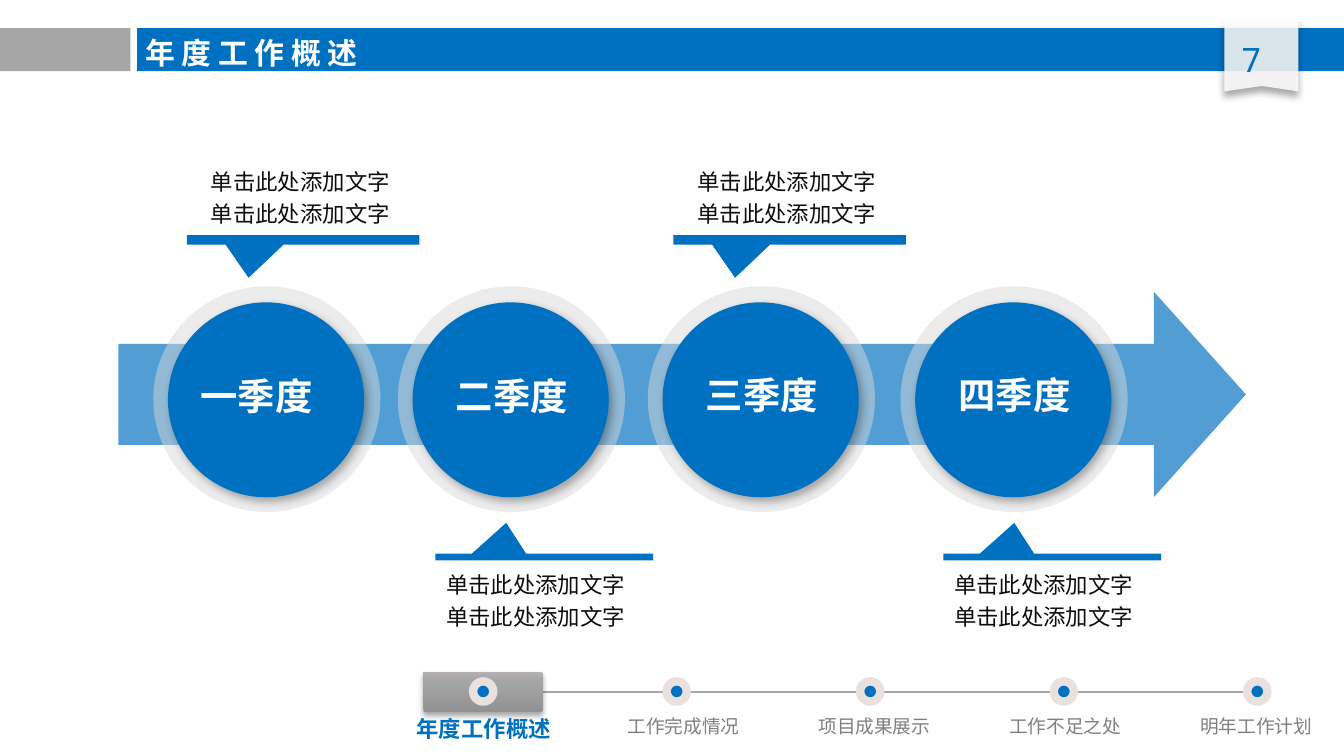
"""Build the annual work overview slide with a quarterly timeline."""
from copy import deepcopy
from typing import NamedTuple, Optional

from lxml import etree
from pptx import Presentation
from pptx import util as u
from pptx.dml.color import RGBColor
from pptx.enum import shapes, text
from pptx.oxml import ns

BLUE = RGBColor(0x00, 0x70, 0xC0)
WHITE = RGBColor(0xFF, 0xFF, 0xFF)
INK = RGBColor(0x0D, 0x0D, 0x0D)
GRAY = RGBColor(0xA6, 0xA6, 0xA6)
LABEL_GRAY = RGBColor(0x80, 0x80, 0x80)
RING_GRAY = RGBColor(0xD8, 0xD8, 0xD8)
FOLD_GRAY = RGBColor(0xF8, 0xF8, 0xF8)
NODE_EDGE = RGBColor(0xEA, 0xE0, 0xDE)
TAB_STOPS = [(0, RGBColor(0x93, 0x92, 0x92)), (0.8, RGBColor(0xA6, 0xA6, 0xA7)),
             (1, RGBColor(0xB6, 0xB0, 0xB2))]
CJK = "Noto Sans CJK SC"
SHAPE = shapes.MSO_SHAPE


class Box(NamedTuple):
    left: float
    top: float
    width: float
    height: float


class Shadow(NamedTuple):
    alpha: int
    blur: float
    dist: float
    angle: int


class Quarter(NamedTuple):
    name: str
    left: float
    label_left: float
    label_top: float


class Callout(NamedTuple):
    bar: Box
    tip: tuple
    text_left: float
    text_top: float


RIBBON_SHADOW = Shadow(40, 4, 3, 90)
TAB_SHADOW = Shadow(35, 3.1, 1.8, 90)
DISK_SHADOW = Shadow(30, 4.5, 2.6, 53)

QUARTERS = [
    Quarter("二季度", 2.96, 2.88, 2.73),
    Quarter("三季度", 4.82, 4.74, 2.72),
    Quarter("四季度", 6.7, 6.62, 2.72),
    Quarter("一季度", 1.14, 0.98, 2.73),
]
UP_TIP, DOWN_TIP = (-0.175, -5.095), (-0.234, 4.033)
CALLOUTS = [Callout(Box(x, 1.75, 1.73, 0.07), DOWN_TIP, x + 0.08, 1.16) for x in (1.39, 5.01)]
CALLOUTS += [Callout(Box(x, 4.12, 1.62, 0.05), UP_TIP, x - 0.02, 4.16) for x in (3.24, 7.02)]
SECTIONS = ["工作完成情况", "项目成果展示", "工作不足之处", "明年工作计划"]


def inches(box: Box) -> list:
    """Convert a box to lengths."""
    return [u.Inches(v) for v in box]


def style(sp, color: RGBColor, alpha: Optional[int] = None, shadow: Optional[Shadow] = None) -> None:
    """Give a shape its solid fill, transparency and shadow, without outline."""
    sp.shadow.inherit = False
    sp.line.fill.background()
    sp.fill.solid()
    sp.fill.fore_color.rgb = color
    if alpha is not None:
        clr = sp.element.spPr.find(ns.qn("a:solidFill"))[0]
        etree.SubElement(clr, ns.qn("a:alpha"), val=str(alpha * 1000))
    if shadow:
        effects = sp.element.spPr.find(ns.qn("a:effectLst"))
        outer = etree.SubElement(
            effects, ns.qn("a:outerShdw"), blurRad=str(int(u.Pt(shadow.blur))),
            dist=str(int(u.Pt(shadow.dist))), dir=str(shadow.angle * 60000),
            algn="ctr", rotWithShape="0")
        clr = etree.SubElement(outer, ns.qn("a:srgbClr"), val="000000")
        etree.SubElement(clr, ns.qn("a:alpha"), val=str(shadow.alpha * 1000))


def add_shape(parent, kind, box: Box, color: RGBColor, adj: tuple = (), **look):
    """Add a styled preset shape."""
    sp = parent.add_shape(kind, *inches(box))
    for i, value in enumerate(adj):
        sp.adjustments[i] = value
    style(sp, color, **look)
    return sp


def write(tf, lines: list, *, size: float, color: RGBColor, font: str = CJK, bold: bool = False,
          align=text.PP_ALIGN.CENTER, spacing: Optional[float] = None, wrap: bool = True,
          inset: tuple = (0.1, 0.05)) -> None:
    """Fill a text frame with formatted paragraphs."""
    tf.word_wrap = wrap
    tf.auto_size = text.MSO_AUTO_SIZE.NONE
    tf.vertical_anchor = text.MSO_ANCHOR.TOP
    tf.margin_left = tf.margin_right = u.Inches(inset[0])
    tf.margin_top = tf.margin_bottom = u.Inches(inset[1])
    for i, line in enumerate(lines):
        p = tf.add_paragraph() if i else tf.paragraphs[0]
        p.alignment = align
        p.space_before = u.Pt(0)
        p.line_spacing = spacing or 1.0
        r = p.add_run()
        r.text = line
        r.font.size, r.font.bold, r.font.name = u.Pt(size), bold, font
        r.font.color.rgb = color
        etree.SubElement(r.font._element, ns.qn("a:ea"), typeface=CJK)


def add_text(parent, box: Box, lines: list, **fmt) -> None:
    """Add a formatted text box."""
    write(parent.add_textbox(*inches(box)).text_frame, lines, **fmt)


def add_header(s) -> None:
    """Draw the title bar and the page ribbon."""
    add_shape(s.shapes, SHAPE.RIGHT_TRIANGLE, Box(9.66, 0.15, 0.09, 0.06), FOLD_GRAY,
              alpha=85, shadow=RIBBON_SHADOW)
    add_shape(s.shapes, SHAPE.RECTANGLE, Box(0, 0.21, 0.97, 0.32), GRAY)
    add_shape(s.shapes, SHAPE.RECTANGLE, Box(1.02, 0.21, 8.98, 0.32), BLUE)
    outline = [(u.Inches(x), u.Inches(y)) for x, y in
               [(9.11, 0.68), (9.11, 0.16), (9.66, 0.16), (9.66, 0.68), (9.39, 0.64)]]
    builder = s.shapes.build_freeform(*outline[0])
    builder.add_line_segments(outline[1:], close=True)
    style(builder.convert_to_shape(), WHITE, alpha=85, shadow=RIBBON_SHADOW)
    add_text(s.shapes, Box(9.11, 0.25, 0.55, 0.38), ["7 "], size=18, color=BLUE,
             font="Noto Sans Mono", inset=(0.07, 0.04))
    title = s.shapes.title
    title.left, title.top, title.width, title.height = inches(Box(0.98, 0.21, 2.28, 0.37))
    write(title.text_frame, ["年 度 工 作 概 述"], size=16, color=WHITE, font="Calibri",
          bold=True, align=text.PP_ALIGN.LEFT)
    s.shapes.element.append(title.element)


def add_navigation(s) -> None:
    """Draw the section tracker along the bottom."""
    line = s.shapes.add_connector(shapes.MSO_CONNECTOR.STRAIGHT, *inches(Box(3.61, 5.15, 9.34, 5.15)))
    line.line.color.rgb, line.line.width = GRAY, u.Pt(1)
    etree.SubElement(line.element.spPr, ns.qn("a:effectLst"))
    tab = add_shape(s.shapes, SHAPE.ROUNDED_RECTANGLE, Box(3.15, 5, 0.89, 0.3), GRAY,
                    adj=(0.053,), shadow=TAB_SHADOW)
    tab.fill.gradient()
    tab.fill.gradient_angle = 90
    stops = tab.element.spPr.find(".//" + ns.qn("a:gsLst"))
    stops.insert(1, deepcopy(stops[0]))
    for stop, (position, color) in zip(tab.fill.gradient_stops, TAB_STOPS):
        stop.position, stop.color.rgb = position, color
    for i in range(len(SECTIONS) + 1):
        node = add_shape(s.shapes, SHAPE.OVAL, Box(3.52 + 1.44 * i, 5.07, 0.15, 0.15), BLUE)
        node.line.color.rgb, node.line.width = NODE_EDGE, u.Pt(4.5)
    add_text(s.shapes, Box(3.02, 5.28, 1.16, 0.28), ["年度工作概述"], size=12, color=BLUE,
             bold=True, wrap=False, inset=(0.07, 0.04))
    for i, name in enumerate(SECTIONS):
        add_text(s.shapes, Box(4.59 + 1.42 * i, 5.28, 0.99, 0.24), [name], size=10,
                 color=LABEL_GRAY, wrap=False, inset=(0.07, 0.04))


def add_quarter(s, q: Quarter) -> None:
    """Draw one quarter as a grouped ring, disk and name."""
    group = s.shapes.add_group_shape().shapes
    add_shape(group, SHAPE.OVAL, Box(q.left, 2.13, 1.69, 1.68), RING_GRAY, alpha=48)
    add_shape(group, SHAPE.OVAL, Box(q.left + 0.11, 2.25, 1.46, 1.45), BLUE, shadow=DISK_SHADOW)
    add_text(group, Box(q.label_left, q.label_top, 1.86, 0.6), [q.name], size=20, color=WHITE, bold=True)


def add_callout(s, c: Callout) -> None:
    """Draw one callout bar with its two lines of text."""
    add_shape(s.shapes, SHAPE.RECTANGULAR_CALLOUT, c.bar, BLUE, adj=c.tip)
    add_text(s.shapes, Box(c.text_left, c.text_top, 1.61, 0.59), ["单击此处添加文字"] * 2,
             size=12, color=INK, align=text.PP_ALIGN.LEFT, spacing=1.2)


def main() -> None:
    """Assemble and save the slide."""
    prs = Presentation()
    prs.slide_width, prs.slide_height = u.Inches(10), u.Inches(10 * 9 / 16)
    s = prs.slides.add_slide(prs.slide_layouts[5])
    add_header(s)
    add_navigation(s)
    add_shape(s.shapes, SHAPE.RIGHT_ARROW, Box(0.88, 2.17, 8.39, 1.53), BLUE, adj=(0.491, 0.448), alpha=68)
    for q in QUARTERS:
        add_quarter(s, q)
    for c in CALLOUTS:
        add_callout(s, c)
    prs.save("out.pptx")


if __name__ == "__main__":
    main()
